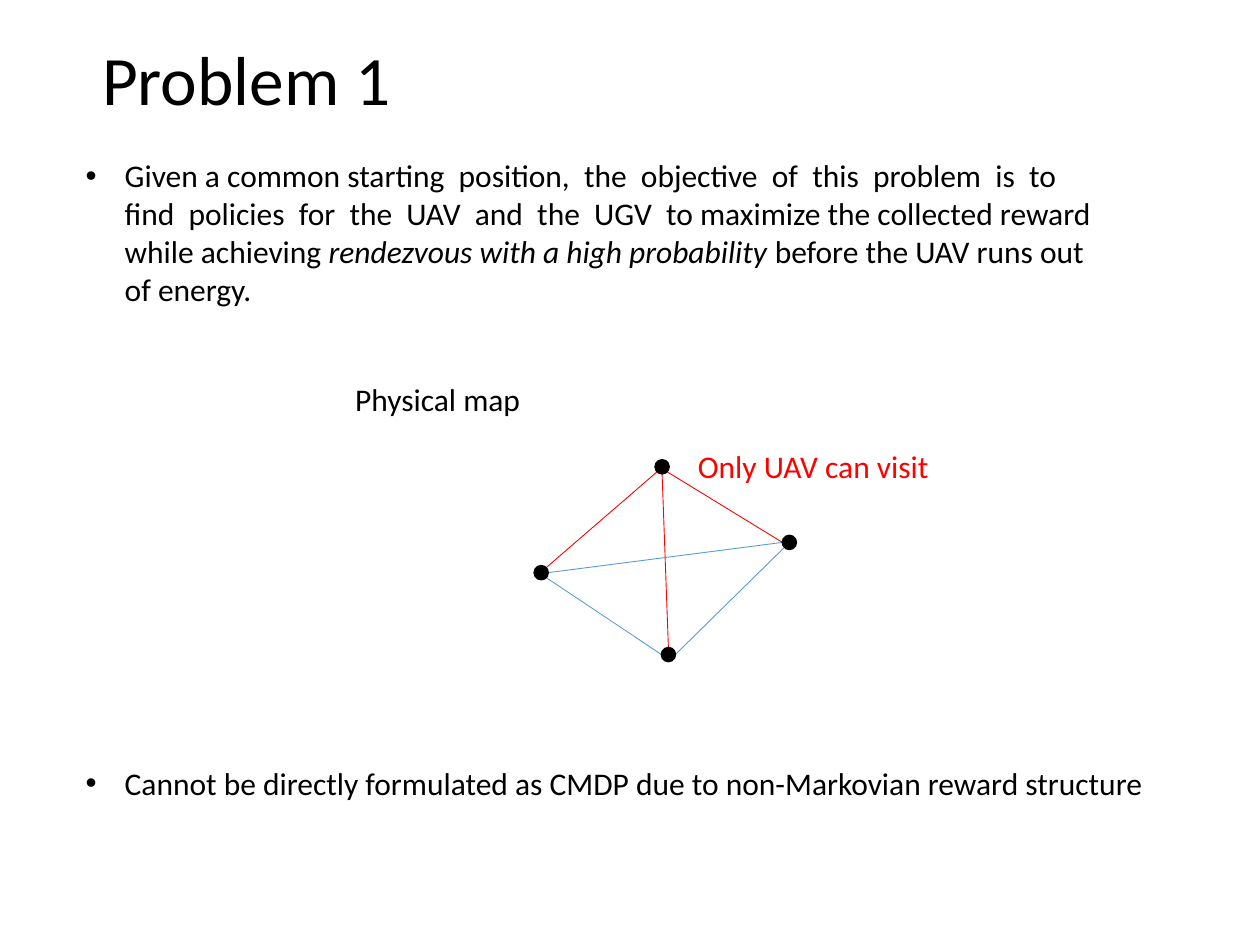
"""Build the Problem 1 slide with its physical map of places and routes."""
from dataclasses import dataclass
from math import cos, radians, sin
from typing import NamedTuple

from lxml import etree
from pptx import Presentation
from pptx import util as u
from pptx.dml.color import RGBColor
from pptx.enum import shapes, text
from pptx.oxml import ns

COLUMNS, ROWS = 100, 75


@dataclass(frozen=True)
class Theme:
    """Colours, font and sizes of the slide."""
    font: str = "Calibri"
    ink: str = "000000"
    air: str = "FF0000"
    ground: str = "5B9BD5"
    title_size: float = 39.6
    body_size: float = 18
    route_width: float = 0.5
    place_width: float = 1


class Box(NamedTuple):
    """Left, top, width and height in grid columns and rows."""
    left: float
    top: float
    width: float
    height: float


class Place(NamedTuple):
    """Centre of a dot on the map in grid columns and rows."""
    column: float
    row: float


class Route(NamedTuple):
    """Two places, the angle at which the line leaves each, and a colour."""
    start: str
    start_angle: int
    end: str
    end_angle: int
    color: str


class Label(NamedTuple):
    """A caption on the map."""
    words: str
    box: Box
    color: str


class Bullet(NamedTuple):
    """A bulleted statement as pairs of words and italic."""
    box: Box
    runs: list[tuple[str, bool]]


THEME = Theme()
TITLE_BOX = Box(7.1, 4, 86.2, 5.2)
DOT = 1.1
INDENT = 3.1
BULLETS = [
    Bullet(Box(5.8, 11.9, 83.5, 13.1), [
        ("Given a common starting  position,  the  objective  of  this  problem  is  to  "
         "find  policies  for  the  UAV  and  the  UGV  to maximize the collected reward "
         "while achieving ", False),
        ("rendezvous with a high probability ", True),
        ("before the UAV runs out of energy.", False)]),
    Bullet(Box(5.8, 60.1, 90.5, 4), [
        ("Cannot be directly formulated as CMDP due to non-Markovian reward structure",
         False)]),
]
PLACES = {
    "west": Place(42.95, 45.45),
    "north": Place(52.55, 37.05),
    "east": Place(62.65, 43.05),
    "south": Place(53.05, 51.95),
}
ROUTES = [
    Route("north", 270, "south", 90, THEME.air),
    Route("east", 180, "west", 0, THEME.ground),
    Route("west", 315, "south", 180, THEME.ground),
    Route("east", 225, "south", 0, THEME.ground),
    Route("north", 315, "east", 180, THEME.air),
    Route("west", 45, "north", 225, THEME.air),
]
LABELS = [
    Label("Physical map", Box(27.2, 29.7, 21.7, 4), THEME.ink),
    Label("Only UAV can visit", Box(54.4, 35, 23.2, 4), THEME.air),
]


def grid(value: float) -> int:
    """Turn grid columns or rows, which are square, into slide units."""
    return u.Inches(value * 10 / COLUMNS)


def place_shape(shape, box: Box) -> None:
    """Move a shape to its box."""
    shape.left, shape.top, shape.width, shape.height = map(grid, box)


def add_run(paragraph, words: str, size: float, color: str, italic: bool = False) -> None:
    """Append a formatted run."""
    run = paragraph.add_run()
    run.text = words
    run.font.name, run.font.size, run.font.italic = THEME.font, u.Pt(size), italic
    run.font.color.rgb = RGBColor.from_string(color)


def prepare_frame(shape, anchor: text.MSO_ANCHOR):
    """Set wrapping and anchor, and return the first paragraph."""
    frame = shape.text_frame
    frame.word_wrap, frame.vertical_anchor = True, anchor
    frame.auto_size = text.MSO_AUTO_SIZE.NONE
    paragraph = frame.paragraphs[0]
    paragraph.alignment, paragraph.space_before = text.PP_ALIGN.LEFT, u.Pt(0)
    return paragraph


def fill_title(shape) -> None:
    """Write the slide title."""
    place_shape(shape, TITLE_BOX)
    paragraph = prepare_frame(shape, text.MSO_ANCHOR.MIDDLE)
    paragraph.line_spacing = 0.9
    add_run(paragraph, "Problem 1", THEME.title_size, THEME.ink)


def fill_bullet(shape, bullet: Bullet) -> None:
    """Write one bulleted statement into a body placeholder."""
    place_shape(shape, bullet.box)
    paragraph = prepare_frame(shape, text.MSO_ANCHOR.TOP)
    properties = paragraph._p.get_or_add_pPr()
    properties.set("marL", str(grid(INDENT)))
    properties.set("indent", str(-grid(INDENT)))
    etree.SubElement(properties, ns.qn("a:buFont")).set("typeface", "Arial")
    etree.SubElement(properties, ns.qn("a:buChar")).set("char", "•")
    for words, italic in bullet.runs:
        add_run(paragraph, words, THEME.body_size, THEME.ink, italic)


def rim(place: Place, angle: int) -> tuple[int, int]:
    """Find the point on a dot's rim at an angle."""
    turn = radians(angle)
    return (grid(place.column + DOT / 2 * cos(turn)),
            grid(place.row - DOT / 2 * sin(turn)))


def draw_route(slide, route: Route) -> None:
    """Draw a line between two places."""
    line = slide.shapes.add_connector(
        shapes.MSO_CONNECTOR.STRAIGHT,
        *rim(PLACES[route.start], route.start_angle),
        *rim(PLACES[route.end], route.end_angle))
    line.line.color.rgb = RGBColor.from_string(route.color)
    line.line.width = u.Pt(THEME.route_width)
    etree.SubElement(line._element.spPr, ns.qn("a:effectLst"))


def draw_place(slide, place: Place) -> None:
    """Draw a dot on the map."""
    box = Box(place.column - DOT / 2, place.row - DOT / 2, DOT, DOT)
    dot = slide.shapes.add_shape(shapes.MSO_SHAPE.OVAL, *map(grid, box))
    dot.shadow.inherit = False
    dot.fill.solid()
    dot.fill.fore_color.rgb = RGBColor.from_string(THEME.ink)
    dot.line.color.rgb = RGBColor.from_string(THEME.ink)
    dot.line.width = u.Pt(THEME.place_width)


def draw_label(slide, label: Label) -> None:
    """Write a caption on the map."""
    shape = slide.shapes.add_textbox(*map(grid, label.box))
    paragraph = prepare_frame(shape, text.MSO_ANCHOR.TOP)
    add_run(paragraph, label.words, THEME.body_size, label.color)


def main() -> None:
    """Build and save the presentation."""
    presentation = Presentation()
    presentation.slide_width, presentation.slide_height = grid(COLUMNS), grid(ROWS)
    slide = presentation.slides.add_slide(
        presentation.slide_layouts.get_by_name("Two Content"))
    fill_title(slide.shapes.title)
    for index, bullet in enumerate(BULLETS, start=1):
        fill_bullet(slide.placeholders[index], bullet)
    for route in ROUTES:
        draw_route(slide, route)
    for place in PLACES.values():
        draw_place(slide, place)
    for label in LABELS:
        draw_label(slide, label)
    presentation.save("out.pptx")


if __name__ == "__main__":
    main()
